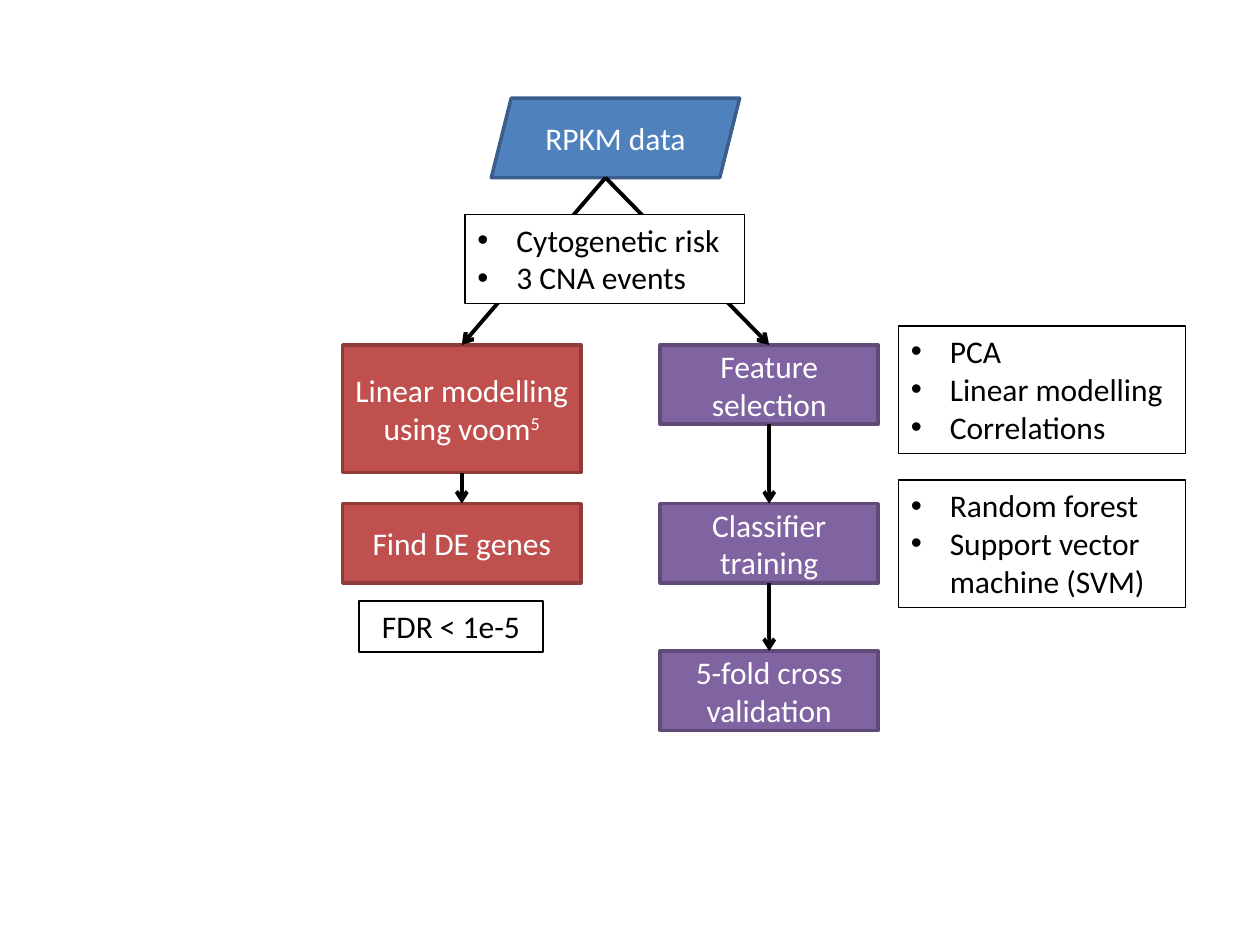
from lxml import etree
from pptx import Presentation
from pptx import util as u
from pptx.dml.color import RGBColor
from pptx.enum import shapes, text
from pptx.oxml.ns import qn

WIDTH, HEIGHT = u.Inches(10), u.Inches(7.5)
COLORS = {
    "blue": "4F81BD", "blue_line": "3A5F8C",
    "red": "C0504D", "red_line": "8E3B39",
    "purple": "8064A2", "purple_line": "5F4A78",
    "white": "FFFFFF", "black": "000000",
}
COLUMNS = {"model": (0.272, 0.189), "classifier": (0.524, 0.173), "notes": (0.713, 0.228)}
ROWS = {"data": 0.104, "first": 0.365, "second": 0.533, "third": 0.689}
STEP, TALL = 0.084, 0.135
PARALLELOGRAM_SLANT = 0.25
BOTTOM, TOP = 2, 0


def color(name):
    return RGBColor.from_string(COLORS[name])


def add_box(slide, kind, column, top, height, fill, line, weight):
    left, width = column
    sp = slide.shapes.add_shape(kind, int(left * WIDTH), int(top * HEIGHT),
                                int(width * WIDTH), int(height * HEIGHT))
    sp.shadow.inherit = False
    if fill:
        sp.fill.solid()
        sp.fill.fore_color.rgb = color(fill)
    else:
        sp.fill.background()
    sp.line.color.rgb = color(line)
    sp.line.width = u.Pt(weight)
    sp.text_frame.word_wrap = True
    return sp


def write(sp, lines, ink, align):
    tf = sp.text_frame
    for i, line in enumerate(lines):
        p = tf.paragraphs[0] if i == 0 else tf.add_paragraph()
        p.alignment = align
        p.font.name = "Calibri"
        p.font.size = u.Pt(18)
        p.font.color.rgb = color(ink)
        p.add_run().text = line


def add_step(slide, label, column, top, tone, height=STEP, kind=shapes.MSO_SHAPE.RECTANGLE):
    sp = add_box(slide, kind, column, top, height, tone, tone + "_line", 2)
    sp.text_frame.vertical_anchor = text.MSO_ANCHOR.MIDDLE
    write(sp, [label], "white", text.PP_ALIGN.CENTER)
    return sp


def add_note(slide, lines, column, top, height, fill=None, bullets=True):
    sp = add_box(slide, shapes.MSO_SHAPE.RECTANGLE, column, top, height, fill, "black", 0.75)
    tf = sp.text_frame
    tf.vertical_anchor = text.MSO_ANCHOR.TOP
    tf.auto_size = text.MSO_AUTO_SIZE.SHAPE_TO_FIT_TEXT
    write(sp, lines, "black", text.PP_ALIGN.LEFT if bullets else text.PP_ALIGN.CENTER)
    if bullets:
        indent = u.Inches(0.31)
        for p in tf.paragraphs:
            props = p._p.get_or_add_pPr()
            props.set("marL", str(indent))
            props.set("indent", str(-indent))
            font = etree.Element(qn("a:buFont"), typeface="Arial")
            bullet = etree.Element(qn("a:buChar"), char="•")
            props.insert(0, font)
            props.insert(1, bullet)


def add_superscript(sp, mark):
    r = sp.text_frame.paragraphs[0].add_run()
    r.text = mark
    r._r.get_or_add_rPr().set("baseline", "30000")


def add_arrow(slide, target, source=None, start=(0, 0)):
    cxn = slide.shapes.add_connector(shapes.MSO_CONNECTOR.STRAIGHT, *start, *start)
    if source is not None:
        cxn.begin_connect(source, BOTTOM)
    cxn.end_connect(target, TOP)
    cxn.line.color.rgb = color("black")
    cxn.line.width = u.Pt(2.25)
    etree.SubElement(cxn.line._get_or_add_ln(), qn("a:tailEnd"), type="arrow")
    etree.SubElement(cxn._element.spPr, qn("a:effectLst"))


def main():
    prs = Presentation()
    prs.slide_width, prs.slide_height = WIDTH, HEIGHT
    slide = prs.slides.add_slide(prs.slide_layouts[6])

    data = add_step(slide, "RPKM data", (0.39, 0.197), ROWS["data"], "blue",
                    kind=shapes.MSO_SHAPE.PARALLELOGRAM)
    model = add_step(slide, "Linear modelling using voom", COLUMNS["model"],
                     ROWS["first"], "red", TALL)
    add_superscript(model, "5")
    genes = add_step(slide, "Find DE genes", COLUMNS["model"], ROWS["second"], "red")
    selection, training, validation = [
        add_step(slide, label, COLUMNS["classifier"], ROWS[row], "purple")
        for label, row in (("Feature selection", "first"),
                           ("Classifier training", "second"),
                           ("5-fold cross validation", "third"))]

    for source, target in ((model, genes), (selection, training), (training, validation)):
        add_arrow(slide, target, source)
    fork = (int(data.left + (data.width - PARALLELOGRAM_SLANT * data.height) / 2),
            data.top + data.height)
    for target in (model, selection):
        add_arrow(slide, target, start=fork)

    add_note(slide, ["PCA", "Linear modelling", "Correlations"], COLUMNS["notes"], 0.345, TALL)
    add_note(slide, ["Random forest", "Support vector machine (SVM)"],
             COLUMNS["notes"], 0.508, TALL)
    add_note(slide, ["FDR < 1e-5"], (0.285, 0.146), 0.636, 0.054, bullets=False)
    add_note(slide, ["Cytogenetic risk", "3 CNA events"], (0.369, 0.222), 0.227, 0.094,
             fill="white")
    prs.save("out.pptx")


if __name__ == "__main__":
    main()
